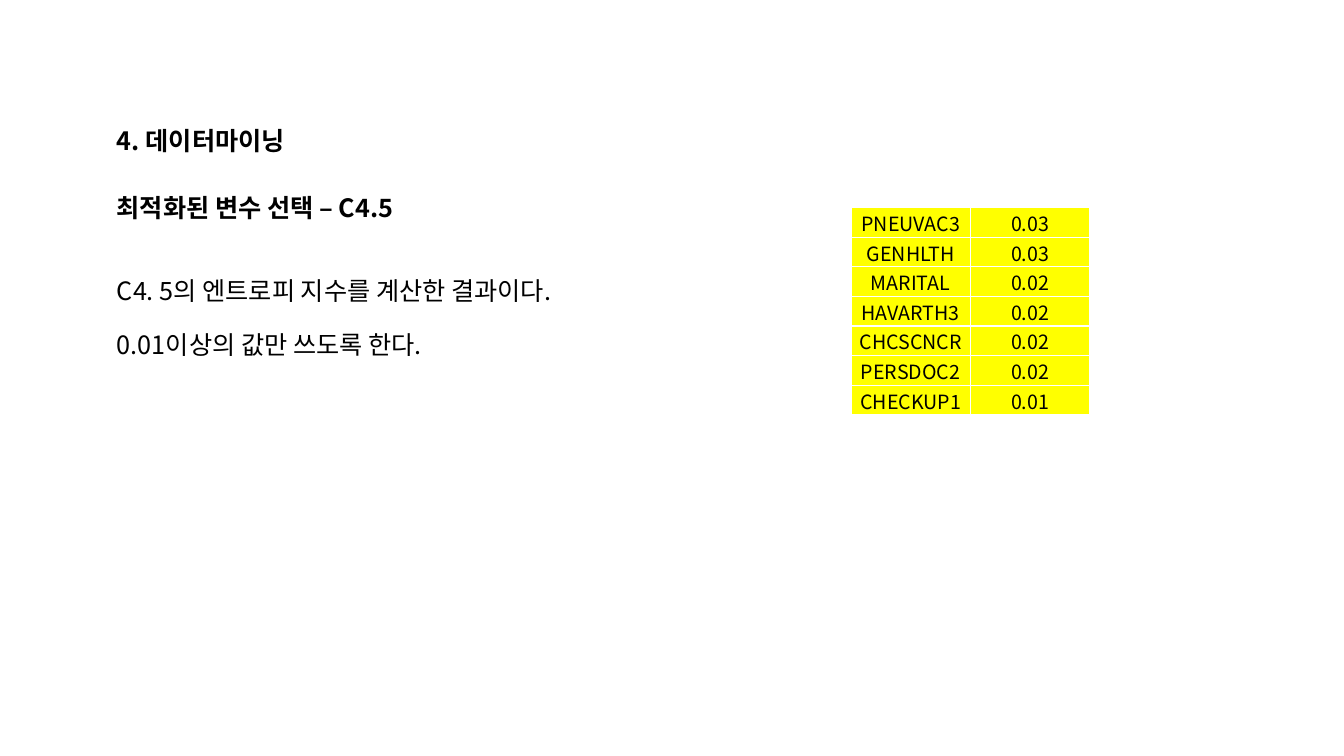
from dataclasses import dataclass

from lxml import etree
from pptx import Presentation
from pptx.dml.color import RGBColor
from pptx.enum.text import MSO_ANCHOR, MSO_AUTO_SIZE, PP_ALIGN
from pptx.oxml.ns import qn
from pptx.util import Inches, Pt

LEFT, CENTER = PP_ALIGN.LEFT, PP_ALIGN.CENTER
TOP, MIDDLE = MSO_ANCHOR.TOP, MSO_ANCHOR.MIDDLE
NO_AUTO_SIZE = MSO_AUTO_SIZE.NONE
TITLE_AND_CONTENT = 1


@dataclass(frozen=True)
class Theme:
    font: str = "Noto Sans CJK KR"
    text: str = "000000"
    highlight: str = "FFFF00"
    border: str = "FFFFFF"
    text_size: int = 18
    table_size: int = 14
    paragraph_gap: int = 17


THEME = Theme()
MARGIN = 1.06
ENTROPY = [
    ("PNEUVAC3", "0.03"),
    ("GENHLTH", "0.03"),
    ("MARITAL", "0.02"),
    ("HAVARTH3", "0.02"),
    ("CHCSCNCR", "0.02"),
    ("PERSDOC2", "0.02"),
    ("CHECKUP1", "0.01"),
]


def add_run(paragraph, text, size, bold=False):
    run = paragraph.add_run()
    run.text = text
    font = run.font
    font.name, font.size, font.bold = THEME.font, Pt(size), bold
    font.color.rgb = RGBColor.from_string(THEME.text)
    east_asian = etree.SubElement(font._element, qn("a:ea"))
    east_asian.set("typeface", THEME.font)


def fill_text(shape, box, lines, bold=False):
    """Place a text shape in its box and write one paragraph per line."""
    shape.left, shape.top, shape.width, shape.height = map(Inches, box)
    frame = shape.text_frame
    frame.word_wrap = True
    frame.auto_size = NO_AUTO_SIZE
    frame.vertical_anchor = TOP
    for index, line in enumerate(lines):
        paragraph = frame.add_paragraph() if index else frame.paragraphs[0]
        properties = paragraph._p.get_or_add_pPr()
        properties.set("marL", "0")
        properties.set("indent", "0")
        etree.SubElement(properties, qn("a:buNone"))
        paragraph.alignment = LEFT
        paragraph.space_before = Pt(THEME.paragraph_gap if index else 0)
        add_run(paragraph, line, THEME.text_size, bold)


def add_borders(cell):
    properties = cell._tc.get_or_add_tcPr()
    for side in ("lnL", "lnR", "lnT", "lnB"):
        line = etree.SubElement(properties, qn(f"a:{side}"), w=str(Pt(1)))
        solid = etree.SubElement(line, qn("a:solidFill"))
        etree.SubElement(solid, qn("a:srgbClr"), val=THEME.border)


def add_entropy_table(slide, box, rows):
    left, top, width, height = map(Inches, box)
    column_count = len(rows[0])
    shape = slide.shapes.add_table(len(rows), column_count, left, top, width, height)
    table = shape.table
    table.first_row = table.horz_banding = False
    for row, values in zip(table.rows, rows):
        row.height = Inches(0.17)
        for cell, value in zip(row.cells, values):
            add_borders(cell)
            cell.fill.solid()
            cell.fill.fore_color.rgb = RGBColor.from_string(THEME.highlight)
            cell.margin_left = cell.margin_right = cell.margin_top = Inches(0.01)
            cell.margin_bottom = 0
            cell.vertical_anchor = MIDDLE
            paragraph = cell.text_frame.paragraphs[0]
            paragraph.alignment = CENTER
            add_run(paragraph, value, THEME.table_size)
    # The frame is taller than its rows, so they stretch evenly to fill it
    shape.height = height


def add_headings(slide, box):
    left, top, width, height = box
    fill_text(slide.shapes.title, box, ["4. 데이터마이닝"], bold=True)
    subtitle = slide.shapes.add_textbox(0, 0, 0, 0)
    fill_text(subtitle, (left, top + 0.67, width, height),
              ["최적화된 변수 선택 – C4.5"], bold=True)


def main():
    presentation = Presentation()
    presentation.slide_width = Inches(13.33)
    presentation.slide_height = Inches(7.5)
    layout = presentation.slide_layouts[TITLE_AND_CONTENT]
    slide = presentation.slides.add_slide(layout)

    # Section title and subtitle
    add_headings(slide, (MARGIN, 1.19, 5.99, 0.4))
    # Entropy values by variable
    add_entropy_table(slide, (8.44, 2.06, 2.37, 1.69), ENTROPY)
    # Explanation
    fill_text(slide.placeholders[1], (MARGIN, 2.68, 5.24, 1.01),
              ["C4. 5의 엔트로피 지수를 계산한 결과이다.",
               "0.01이상의 값만 쓰도록 한다."])

    presentation.save("out.pptx")


if __name__ == "__main__":
    main()
